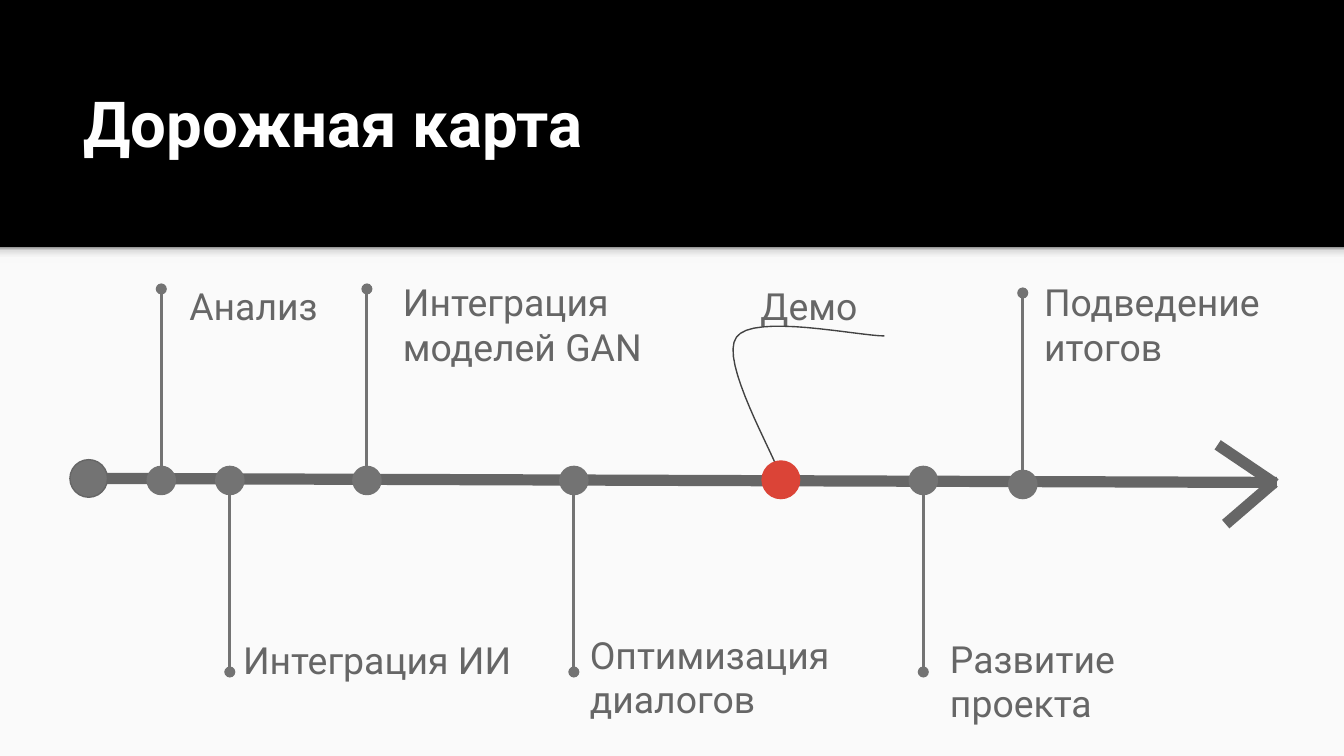
from copy import deepcopy
from pptx import Presentation
from pptx.dml.color import RGBColor
from pptx.enum.shapes import MSO_CONNECTOR, MSO_SHAPE
from pptx.enum.text import MSO_ANCHOR, MSO_AUTO_SIZE, PP_ALIGN
from pptx.oxml.ns import qn
from pptx.util import Inches, Pt
from lxml.etree import SubElement

HEX = {"black": "000000", "panel": "FAFAFA", "white": "FFFFFF", "axis": "666666",
       "dot": "737373", "demo": "DB4437", "curve": "424242"}
INK = {name: RGBColor.from_string(code) for name, code in HEX.items()}
UNIT = Inches(0.1)  # one column or row; the slide is 100 columns wide
WIDE, TOP = 100, 18.4
HIGH = WIDE * 9 / 16

deck = Presentation()
deck.slide_width, deck.slide_height = int(WIDE * UNIT), int(HIGH * UNIT)
slide = deck.slides.add_slide(deck.slide_layouts[5])
slide.background.fill.solid()
slide.background.fill.fore_color.rgb = INK["black"]
shapes = slide.shapes


def put(kind, box, fill, edge=None):
    part = shapes.add_shape(kind, *[int(n * UNIT) for n in box])
    part.shadow.inherit = False
    part.fill.solid()
    part.fill.fore_color.rgb = INK[fill]
    if edge:
        part.line.color.rgb = INK[edge]
        part.line.width = Pt(0.75)
    else:
        part.line.fill.background()
    return part


def rule(x1, y1, x2, y2, color, width, tip=None):
    line = shapes.add_connector(MSO_CONNECTOR.STRAIGHT, *[int(n * UNIT) for n in (x1, y1, x2, y2)])
    line.line.color.rgb = INK[color]
    line.line.width = Pt(width)
    if tip:
        SubElement(line.line._get_or_add_ln(), qn("a:tailEnd"), type=tip)
    SubElement(line._element.spPr, qn("a:effectLst"))


# Light panel and the shade under the header
put(MSO_SHAPE.RECTANGLE, (0, TOP, WIDE, HIGH - TOP), "panel")
shade = put(MSO_SHAPE.RECTANGLE, (0, TOP, WIDE, 1.2), "panel")
shade.fill.gradient()
shade.fill.gradient_angle = 90
stops = shade._element.spPr.find(".//" + qn("a:gsLst"))
for i in range(2):
    stops.append(deepcopy(stops[0]))
tones = [(0, "F9F9F9"), (0.36, "F9F9F9"), (0.8, "DEDEDE"), (1, "999999")]
for stop, (place, tone) in zip(shade.fill.gradient_stops, tones):
    stop.position = place
    stop.color.rgb = RGBColor.from_string(tone)

# Title
title = shapes.title
title.left, title.top, title.width, title.height = [int(n * UNIT) for n in (5.2, 4.5, 89.9, 8.4)]
frame = title.text_frame
frame.text = "Дорожная карта"
frame.auto_size = MSO_AUTO_SIZE.NONE
frame.vertical_anchor = MSO_ANCHOR.BOTTOM
frame.margin_left = frame.margin_right = frame.margin_top = frame.margin_bottom = UNIT
head = frame.paragraphs[0]
head.alignment = PP_ALIGN.LEFT
head.space_after = Pt(4)
font = head.runs[0].font
font.name, font.size, font.bold = "Roboto", Pt(34), True
font.color.rgb = INK["white"]

# Time axis with its arrow and start
rule(7.9, 35.6, 95, 35.9, "axis", 6)
rule(94.9, 36, 90.6, 33.1, "axis", 6)
rule(94.8, 35.9, 91.2, 39, "axis", 6)
put(MSO_SHAPE.OVAL, (5.2, 34.2, 2.8, 2.8), "dot", "axis")

# Labels: left, top, width, height
labels = [
    ("Анализ", 13.1, 20.1, 14.5, 5.4),
    ("Интеграция ИИ", 17.1, 46.4, 27.5, 5.4),
    ("Оптимизация диалогов", 42.9, 46, 24, 12.1),
    ("Интеграция моделей GAN", 29, 19.8, 27.5, 8.8),
    ("Развитие проекта", 69.7, 46.3, 24, 12.1),
    ("Демо", 55.6, 20.1, 14.5, 5.4),
    ("Подведение итогов", 76.7, 19.8, 20.5, 8.8),
]
for words, *box in labels:
    frame = shapes.add_textbox(*[int(n * UNIT) for n in box]).text_frame
    frame.text = words
    frame.word_wrap = True
    frame.margin_left = frame.margin_right = frame.margin_top = frame.margin_bottom = UNIT
    font = frame.paragraphs[0].runs[0].font
    font.name, font.size = "Roboto", Pt(20)
    font.color.rgb = INK["axis"]

# Curved pointer to the demo: two cubic arcs cut into short steps
arcs = [[(58.1, 35.5), (57.6, 33.8), (53.5, 26.8), (54.8, 25.1)],
        [(54.8, 25.1), (56, 23.3), (63.9, 25), (65.8, 25)]]
STEPS = 16
track = []
for arc in arcs:
    for step in range(1, STEPS + 1):
        t = step / STEPS
        mix = ((1 - t) ** 3, 3 * t * (1 - t) ** 2, 3 * t * t * (1 - t), t ** 3)
        track.append([sum(m * p[axis] for m, p in zip(mix, arc)) * UNIT for axis in (0, 1)])
pen = shapes.build_freeform(*[int(n * UNIT) for n in arcs[0][0]])
pen.add_line_segments(track, close=False)
curve = pen.convert_to_shape()
curve.shadow.inherit = False
curve.fill.background()
curve.line.color.rgb = INK["curve"]
curve.line.width = Pt(0.75)
put(MSO_SHAPE.OVAL, (56.7, 34.3, 2.8, 2.8), "demo", "demo")

# Milestones: centre, top of the dot, direction of the stem
SIZE, STEM = 2.1, 13.2
stones = [(12, 34.7, "up"), (17.1, 34.7, "down"), (27.3, 34.7, "up"),
          (42.7, 34.7, "down"), (76.1, 35, "up"), (68.7, 34.7, "down")]
for mid, top, way in stones:
    start, end = (top, top - STEM) if way == "up" else (top + SIZE, top + SIZE + STEM)
    rule(mid, start, mid, end, "dot", 1.5, "oval")
    put(MSO_SHAPE.OVAL, (mid - SIZE / 2, top, SIZE, SIZE), "dot", "dot")

deck.save("out.pptx")
